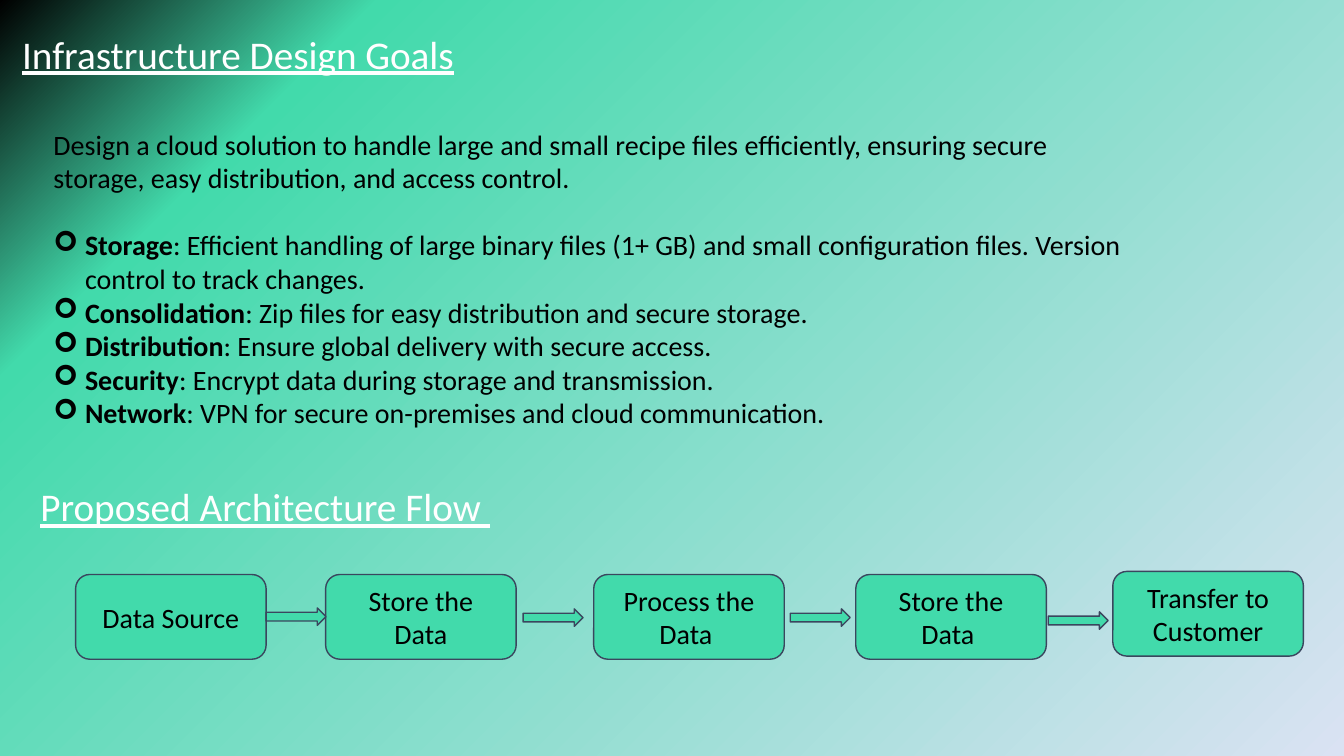
"""Build the infrastructure goals slide with its architecture flow."""
from copy import deepcopy
from dataclasses import dataclass

from lxml.etree import SubElement
from pptx import Presentation
from pptx.dml.color import RGBColor
from pptx.enum.shapes import MSO_SHAPE
from pptx.enum.text import MSO_ANCHOR, MSO_AUTO_SIZE, PP_ALIGN
from pptx.oxml.ns import qn
from pptx.util import Pt


@dataclass(frozen=True)
class Theme:
    """Colours, font and type sizes of the slide."""
    font: str = "Calibri"
    heading_size: int = 28
    body_size: int = 20
    heading: str = "FFFFFF"
    text: str = "000000"
    fill: str = "42DAAB"
    line: str = "3A465E"
    background: tuple = ((0, "000000"), (0.18, "42DAAB"), (1, "DAE2F3"))


THEME = Theme()
INDENT = 22.5

INTRO = ("Design a cloud solution to handle large and small recipe files "
         "efficiently, ensuring secure storage, easy distribution, and access control.")
GOALS = [
    ("Storage", "Efficient handling of large binary files (1+ GB) and small "
                "configuration files. Version control to track changes."),
    ("Consolidation", "Zip files for easy distribution and secure storage."),
    ("Distribution", "Ensure global delivery with secure access."),
    ("Security", "Encrypt data during storage and transmission."),
    ("Network", "VPN for secure on-premises and cloud communication."),
]
STEPS = [
    ("Data Source", 54, 410.4),
    ("Store the Data", 232.6, 410.4),
    ("Process the Data ", 424.1, 410.4),
    ("Store the Data ", 611.3, 410.4),
    ("Transfer to Customer", 794.9, 408.2),
]
ARROWS = [(190.1, 434.2), (373.7, 434.9), (564.5, 434.9), (748.8, 437)]


def set_background(s):
    """Fill the slide with the diagonal three-stop gradient."""
    fill = s.background.fill
    fill.gradient()
    fill.gradient_angle = 315
    stop_list = s.element.find(".//" + qn("a:gsLst"))
    stop_list.insert(1, deepcopy(stop_list[0]))
    for stop, (position, color) in zip(fill.gradient_stops, THEME.background):
        stop.position = position
        stop.color.rgb = RGBColor.from_string(color)


def place(sp, left, top, width, height):
    """Set the position and size of a shape in points."""
    sp.left, sp.top, sp.width, sp.height = map(Pt, (left, top, width, height))


def format_run(r, size, color, bold=False, underline=False):
    """Apply the type style to a run."""
    r.font.name = THEME.font
    r.font.size = Pt(size)
    r.font.color.rgb = RGBColor.from_string(color)
    r.font.bold = bold
    r.font.underline = underline


def prepare_frame(tf):
    """Wrap text from the top at its given size."""
    tf.word_wrap = True
    tf.auto_size = MSO_AUTO_SIZE.NONE
    tf.vertical_anchor = MSO_ANCHOR.TOP


def write_heading(sp, text, left, top):
    """Write an underlined heading in a title or text box."""
    place(sp, left, top, 399, 41)
    tf = sp.text_frame
    prepare_frame(tf)
    tf.text = text
    p = tf.paragraphs[0]
    p.alignment = PP_ALIGN.LEFT
    format_run(p.runs[0], THEME.heading_size, THEME.heading, underline=True)


def set_bullet(p, char=None):
    """Give a paragraph a hanging bullet, or none."""
    pPr = p._p.get_or_add_pPr()
    indent = Pt(INDENT) if char else 0
    pPr.set("marL", str(indent))
    pPr.set("indent", str(-indent))
    if char:
        SubElement(pPr, qn("a:buFont"), typeface="Wingdings")
        SubElement(pPr, qn("a:buChar"), char=char)
    else:
        SubElement(pPr, qn("a:buNone"))


def write_goals(sp):
    """Write the introduction and the list of goals."""
    place(sp, 31, 87.1, 779.8, 247)
    tf = sp.text_frame
    prepare_frame(tf)
    tf.text = INTRO
    p = tf.paragraphs[0]
    p.space_before, p.space_after = Pt(0), Pt(24)
    set_bullet(p)
    format_run(p.runs[0], THEME.body_size, THEME.text)
    for name, detail in GOALS:
        p = tf.add_paragraph()
        p.space_before = Pt(0)
        set_bullet(p, "➢")
        for text, bold in ((name, True), (f": {detail}", False)):
            r = p.add_run()
            r.text = text
            format_run(r, THEME.body_size, THEME.text, bold=bold)


def add_flow_shape(s, kind, left, top, width, height):
    """Add a flat outlined shape of the flow."""
    sp = s.shapes.add_shape(kind, *map(Pt, (left, top, width, height)))
    sp.shadow.inherit = False
    sp.fill.solid()
    sp.fill.fore_color.rgb = RGBColor.from_string(THEME.fill)
    sp.line.color.rgb = RGBColor.from_string(THEME.line)
    sp.line.width = Pt(1)
    return sp


def add_step(s, text, left, top):
    """Add a labelled step of the flow."""
    sp = add_flow_shape(s, MSO_SHAPE.ROUNDED_RECTANGLE, left, top, 136.1, 60.5)
    tf = sp.text_frame
    tf.word_wrap = True
    tf.vertical_anchor = MSO_ANCHOR.MIDDLE
    tf.text = text
    p = tf.paragraphs[0]
    p.alignment = PP_ALIGN.CENTER
    format_run(p.runs[0], THEME.body_size, THEME.text)


def main():
    """Build and save the slide."""
    prs = Presentation()
    prs.slide_width, prs.slide_height = Pt(960), Pt(540)
    s = prs.slides.add_slide(prs.slide_layouts[1])
    set_background(s)
    write_heading(s.shapes.title, "Infrastructure Design Goals", 8.6, 18)
    write_goals(s.placeholders[1])
    flow_heading = s.shapes.add_textbox(0, 0, 0, 0)
    write_heading(flow_heading, "Proposed Architecture Flow ", 21.8, 341.3)
    for text, left, top in STEPS:
        add_step(s, text, left, top)
    for left, top in ARROWS:
        add_flow_shape(s, MSO_SHAPE.RIGHT_ARROW, left, top, 42.8, 12.5)
    prs.save("out.pptx")


if __name__ == "__main__":
    main()
